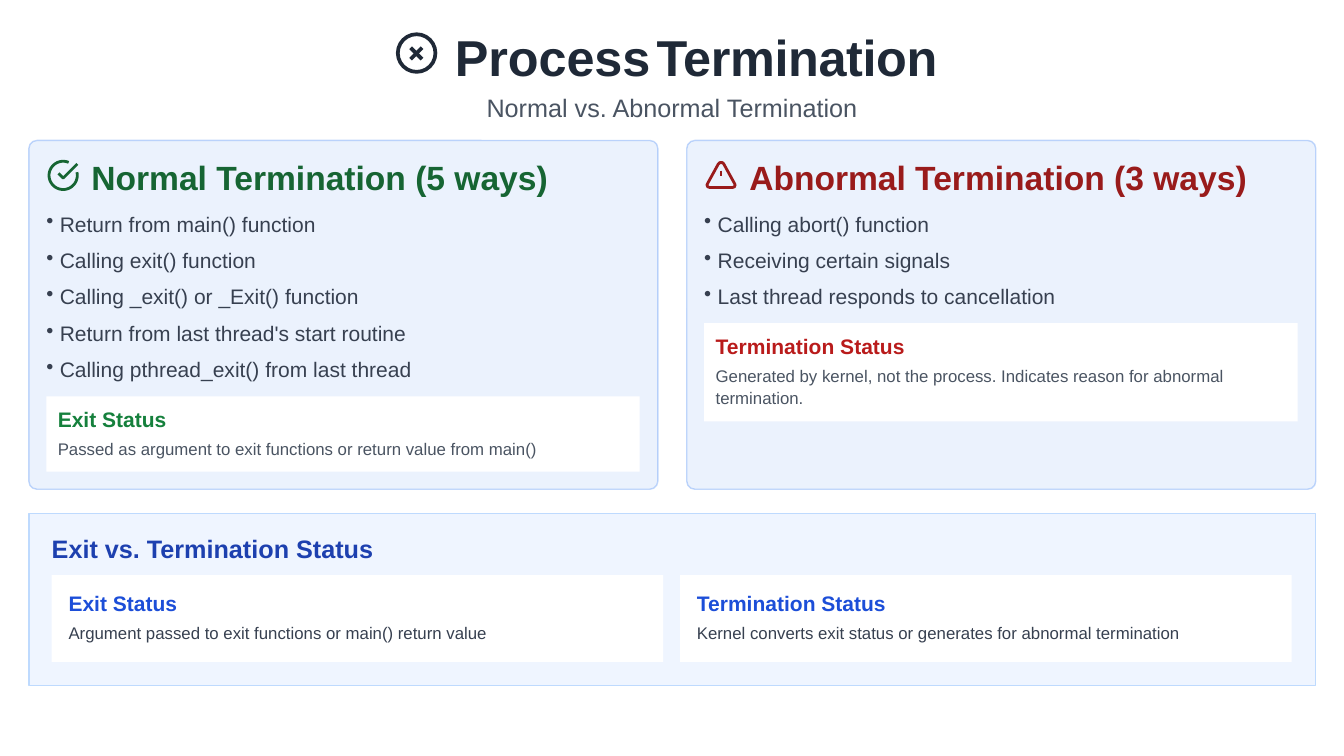
import math

from lxml import etree
from pptx import Presentation
from pptx.dml.color import RGBColor
from pptx.enum import shapes as kinds, text as text_enum
from pptx.oxml import ns
from pptx.util import Inches, Pt

# Content
TITLE = ("Process\t", "Termination")
SUBTITLE = "Normal vs. Abnormal Termination"
CARDS = [
    {
        "heading": "Normal Termination (5 ways)", "color": "166533",
        "bullets": [
            "Return from main() function",
            "Calling exit() function",
            "Calling _exit() or _Exit() function",
            "Return from last thread's start routine",
            "Calling pthread_exit() from last thread",
        ],
        "note": ("Exit Status",
                 "Passed as argument to exit functions or return value from main()"),
        "note_color": "15803C", "note_top": 5.9, "note_height": 1.12,
        "note_gap": 7.5, "note_spacing": 1.0,
    },
    {
        "heading": "Abnormal Termination (3 ways)", "color": "991B1B",
        "bullets": [
            "Calling abort() function",
            "Receiving certain signals",
            "Last thread responds to cancellation",
        ],
        "note": ("Termination Status",
                 "Generated by kernel, not the process. "
                 "Indicates reason for abnormal termination."),
        "note_color": "B91B1B", "note_top": 4.81, "note_height": 1.46,
        "note_gap": 5.1, "note_spacing": 1.11,
    },
]
SUMMARY = "Exit vs. Termination Status"
SUMMARY_NOTES = [
    ("Exit Status", "Argument passed to exit functions or main() return value"),
    ("Termination Status",
     "Kernel converts exit status or generates for abnormal termination"),
]

DARK, BODY, MUTED, WHITE = "1F2937", "374050", "4A5462", "FFFFFF"
PANEL_BLUE, FONT = "3B81F5", "Arial"
CARD_LEFT, CARD_STEP = 0.43, 9.79
NOTE_LEFT, NOTE_STEP = 0.77, 9.35

presentation = Presentation()
presentation.slide_width, presentation.slide_height = Inches(20), Inches(11.25)
slide = presentation.slides.add_slide(presentation.slide_layouts[5])


# Helpers
def rgb(value):
    return RGBColor.from_string(value)


def add_xml(parent, tag, **attributes):
    return etree.SubElement(parent, ns.qn(tag), attributes)


def set_alpha(fill, percent):
    color = fill._xPr.find(".//" + ns.qn("a:srgbClr"))
    add_xml(color, "a:alpha", val=str(percent * 1000))


def style(shape, fill=None, line=None, line_width=1.5):
    shape.shadow.inherit = False
    if fill:
        shape.fill.solid()
        shape.fill.fore_color.rgb = rgb(fill)
    else:
        shape.fill.background()
    if line:
        shape.line.color.rgb = rgb(line)
        shape.line.width = Pt(line_width)
    else:
        shape.line.fill.background()


def add_box(kind, left, top, width, height, **look):
    shape = slide.shapes.add_shape(kind, *map(Inches, (left, top, width, height)))
    style(shape, **look)
    return shape


def prepare_frame(shape, top_inset):
    frame = shape.text_frame
    frame.word_wrap = True
    frame.auto_size = text_enum.MSO_AUTO_SIZE.NONE
    frame.vertical_anchor = text_enum.MSO_ANCHOR.TOP
    frame.margin_left = frame.margin_right = frame.margin_bottom = 0
    frame.margin_top = Inches(top_inset)
    return frame


def add_paragraph(frame, indent=0, before=None, bullet=False, tab=None):
    """Use the empty first paragraph when no space before is given."""
    paragraph = frame.paragraphs[0] if before is None else frame.add_paragraph()
    properties = paragraph._p.get_or_add_pPr()
    properties.set("marL", str(Inches(indent)))
    properties.set("indent", str(Inches(-0.2 if bullet else 0)))
    if bullet:
        add_xml(properties, "a:buChar", char="•")
    if tab:
        stops = add_xml(properties, "a:tabLst")
        add_xml(stops, "a:tab", pos=str(Inches(tab)), algn="l")
    paragraph.alignment = text_enum.PP_ALIGN.LEFT
    if before is not None:
        paragraph.space_before = Pt(before)
    return paragraph


def add_run(paragraph, words, size, color, bold=False, spacing=0):
    run = paragraph.add_run()
    run.text = words
    run.font.name, run.font.size, run.font.bold = FONT, Pt(size), bold
    run.font.color.rgb = rgb(color)
    if spacing:
        run.font._element.set("spc", str(int(spacing * 100)))


def add_note(box, words, color, body_color, inset, indent, gap, line_spacing=1.0):
    left, top, width, height = box
    shape = add_box(kinds.MSO_SHAPE.RECTANGLE, left, top, width, height, fill=WHITE)
    frame = prepare_frame(shape, inset)
    add_run(add_paragraph(frame, indent), words[0], 22.5, color, True)
    paragraph = add_paragraph(frame, indent, gap)
    paragraph.line_spacing = line_spacing
    add_run(paragraph, words[1], 18, body_color)


def add_outline(points, color, close=False):
    points = [(Inches(x), Inches(y)) for x, y in points]
    builder = slide.shapes.build_freeform(*points[0], scale=1.0)
    builder.add_line_segments(points[1:], close=close)
    style(builder.convert_to_shape(), line=color, line_width=3)


def add_line(x1, y1, x2, y2, color, width):
    line = slide.shapes.add_connector(
        kinds.MSO_CONNECTOR.STRAIGHT, *map(Inches, (x1, y1, x2, y2)))
    line.line.color.rgb = rgb(color)
    line.line.width = Pt(width)
    add_xml(line._element.spPr, "a:effectLst")


def draw_check_icon(color):
    angles = [math.radians(degree) for degree in range(-13, 299, 6)]
    add_outline([(0.94 + 0.21 * math.cos(a), 2.61 + 0.21 * math.sin(a))
                 for a in angles], color)
    add_outline([(0.87, 2.58), (0.94, 2.65), (1.15, 2.44)], color)


def draw_warning_icon(color):
    right_half = [(0, 2.42), (0.02, 2.42), (0.04, 2.44), (0.2, 2.73),
                  (0.21, 2.75), (0.2, 2.78), (0.17, 2.79)]
    left_half = [(-x, y) for x, y in reversed(right_half[1:])]
    add_outline([(10.73 + x, y) for x, y in right_half + left_half], color, True)
    add_line(10.73, 2.54, 10.73, 2.62, color, 3)


# Title, subtitle and icon
title = slide.shapes.title
title.left, title.top, title.width, title.height = map(Inches, (6.76, 0.11, 7.39, 1.65))
frame = prepare_frame(title, 0.28)
paragraph = add_paragraph(frame, 0.01, tab=3.14)
add_run(paragraph, TITLE[0], 54, DARK, True, -0.1)
add_run(paragraph, TITLE[1], 54, DARK, True, -0.4)
add_run(add_paragraph(frame, 0.48, 6.5), SUBTITLE, 27, MUTED)
add_box(kinds.MSO_SHAPE.OVAL, 5.92, 0.51, 0.56, 0.56, line=DARK, line_width=4)
for start, end in ((0.71, 0.88), (0.88, 0.71)):
    add_line(6.11, start, 6.28, end, DARK, 4)

# Cards
for index, (card, draw_icon) in enumerate(zip(CARDS, (draw_check_icon, draw_warning_icon))):
    left = CARD_LEFT + index * CARD_STEP
    panel = add_box(kinds.MSO_SHAPE.ROUNDED_RECTANGLE, left, 2.09, 9.36, 5.19,
                    fill=PANEL_BLUE, line=PANEL_BLUE)
    panel.adjustments[0] = 0.12 / 5.19
    set_alpha(panel.fill, 10)
    set_alpha(panel.line.fill, 30)
    draw_icon(card["color"])
    height = 1.09 + 0.52 * len(card["bullets"])
    box = slide.shapes.add_textbox(*map(Inches, (left + 0.25, 1.92, 8.1, height)))
    frame = prepare_frame(box, 0.41)
    add_run(add_paragraph(frame, 0.68), card["heading"], 36, card["color"], True)
    for number, words in enumerate(card["bullets"]):
        paragraph = add_paragraph(frame, 0.21, 12 if number else 15.3, bullet=True)
        add_run(paragraph, words, 22.5, BODY)
    add_note((left + 0.26, card["note_top"], 8.83, card["note_height"]), card["note"],
             card["note_color"], MUTED, 0.15, 0.17, card["note_gap"], card["note_spacing"])

# Summary panel
summary = add_box(kinds.MSO_SHAPE.RECTANGLE, 0.43, 7.64, 19.15, 2.56,
                  fill="EFF5FF", line="BEDAFE")
add_run(add_paragraph(prepare_frame(summary, 0.3), 0.34), SUMMARY, 27, "1D40AF", True)
for index, words in enumerate(SUMMARY_NOTES):
    add_note((NOTE_LEFT + index * NOTE_STEP, 8.56, 9.1, 1.29), words,
             "1C4ED8", BODY, 0.23, 0.25, 7.5)

presentation.save("out.pptx")
